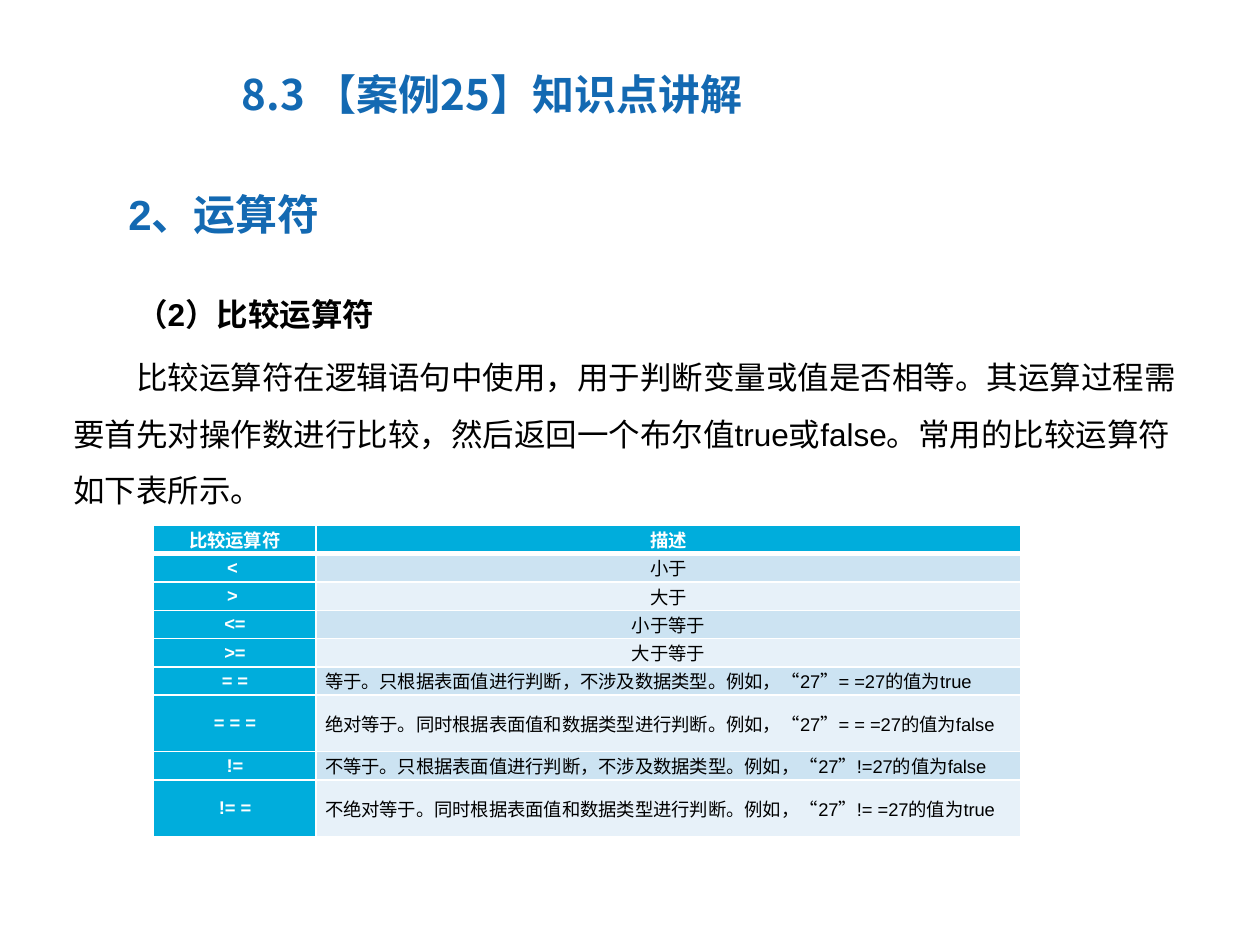
from lxml import etree
from pptx import Presentation
from pptx import util as u
from pptx.dml.color import RGBColor
from pptx.enum import text
from pptx.oxml.ns import qn

COLORS = {
    "heading": "1369B2", "ink": "000000", "white": "FFFFFF",
    "accent": "00ADDC", "dark band": "CCE3F2", "light band": "E7F1F9",
}
LATIN, CHINESE = "Arial", "Noto Sans CJK SC"
LEFT, CENTER = text.PP_ALIGN.LEFT, text.PP_ALIGN.CENTER


def write(paragraph, words, size, color="ink", bold=False, font=LATIN,
          align=LEFT, indent=0, spacing=1.0, before=0):
    """Put formatted words, without a bullet, into a paragraph."""
    props = paragraph._p.get_or_add_pPr()
    props.set("marL", "0")
    props.set("indent", str(u.Inches(indent)))
    etree.SubElement(props, qn("a:buNone"))
    paragraph.alignment = align
    paragraph.line_spacing = spacing
    paragraph.space_before = u.Pt(before)
    run = paragraph.add_run()
    run.text = words
    run.font.size = u.Pt(size)
    run.font.bold = bold
    run.font.name = font
    run.font.color.rgb = RGBColor.from_string(COLORS[color])
    east_asian = etree.SubElement(run._r.get_or_add_rPr(), qn("a:ea"))
    east_asian.set("typeface", CHINESE)


def add_border(cell, side, points):
    """Draw one white side of a table cell."""
    line = etree.SubElement(cell._tc.get_or_add_tcPr(), qn(f"a:ln{side}"))
    line.set("w", str(u.Pt(points)))
    fill = etree.SubElement(line, qn("a:solidFill"))
    etree.SubElement(fill, qn("a:srgbClr")).set("val", COLORS["white"])


prs = Presentation()
prs.slide_width, prs.slide_height = u.Inches(10), u.Inches(7.5)
slide = prs.slides.add_slide(prs.slide_layouts[1])
title, body = slide.placeholders
section = slide.shapes.add_textbox(0, 0, 0, 0)

# Places of the three text blocks
for block, place in (
    (title, (1.82, 0.49, 8.49, 0.79)),
    (body, (0.48, 2.14, 9, 1.63)),
    (section, (0.42, 1.45, 8.43, 0.5)),
):
    block.left, block.top, block.width, block.height = map(u.Inches, place)
    block.text_frame.word_wrap = True
    block.text_frame.auto_size = text.MSO_AUTO_SIZE.NONE
    block.text_frame.vertical_anchor = text.MSO_ANCHOR.TOP

# Title and section heading
write(title.text_frame.paragraphs[0], "8.3 【案例25】知识点讲解", 24,
      color="heading", bold=True, font=CHINESE)
write(section.text_frame.paragraphs[0], "2、运算符", 24,
      color="heading", bold=True, indent=0.5)

# Explanation
write(body.text_frame.paragraphs[0], "（2）比较运算符", 18,
      bold=True, indent=0.5, spacing=1.5)
write(body.text_frame.add_paragraph(),
      "比较运算符在逻辑语句中使用，用于判断变量或值是否相等。"
      "其运算过程需要首先对操作数进行比较，然后返回一个布尔值true或false。"
      "常用的比较运算符如下表所示。",
      18, indent=0.5, spacing=1.5, before=3.6)

# Operator table: operator, description, height in lines
operators = [
    ("比较运算符", "描述", 1),
    ("< ", "小于", 1),
    ("> ", "大于", 1),
    ("<=", "小于等于", 1),
    (">=", "大于等于", 1),
    ("= =", "等于。只根据表面值进行判断，不涉及数据类型。例如，“27”= =27的值为true", 1),
    ("= = =", "绝对等于。同时根据表面值和数据类型进行判断。例如，“27”= = =27的值为false", 2),
    ("!=", "不等于。只根据表面值进行判断，不涉及数据类型。例如，“27”!=27的值为false", 1),
    ("!= =", "不绝对等于。同时根据表面值和数据类型进行判断。例如，“27”!= =27的值为true", 2),
]
TABLE_HEIGHT = u.Inches(2.47)
line_height = TABLE_HEIGHT // sum(lines for _, _, lines in operators)
table = slide.shapes.add_table(
    len(operators), 2, u.Inches(1.22), u.Inches(4.17),
    u.Inches(6.88), TABLE_HEIGHT).table
for column, width in zip(table.columns, (1.29, 5.59)):
    column.width = u.Inches(width)

for r, (operator, description, lines) in enumerate(operators):
    table.rows[r].height = line_height * lines
    for c, words in enumerate((operator, description)):
        cell = table.cell(r, c)
        heading = r == 0 or c == 0
        cell.margin_left = cell.margin_right = u.Inches(0.07)
        cell.margin_top = cell.margin_bottom = 0
        cell.vertical_anchor = text.MSO_ANCHOR.MIDDLE
        for side in "LRTB":
            under_header = (r, side) in ((0, "B"), (1, "T"))
            add_border(cell, side, 3 if under_header else 1)
        band = "dark band" if r % 2 else "light band"
        cell.fill.solid()
        cell.fill.fore_color.rgb = RGBColor.from_string(
            COLORS["accent" if heading else band])
        write(cell.text_frame.paragraphs[0], words, 10.5,
              color="white" if heading else "ink", bold=heading,
              align=CENTER if heading or r < 5 else LEFT)

prs.save("out.pptx")
